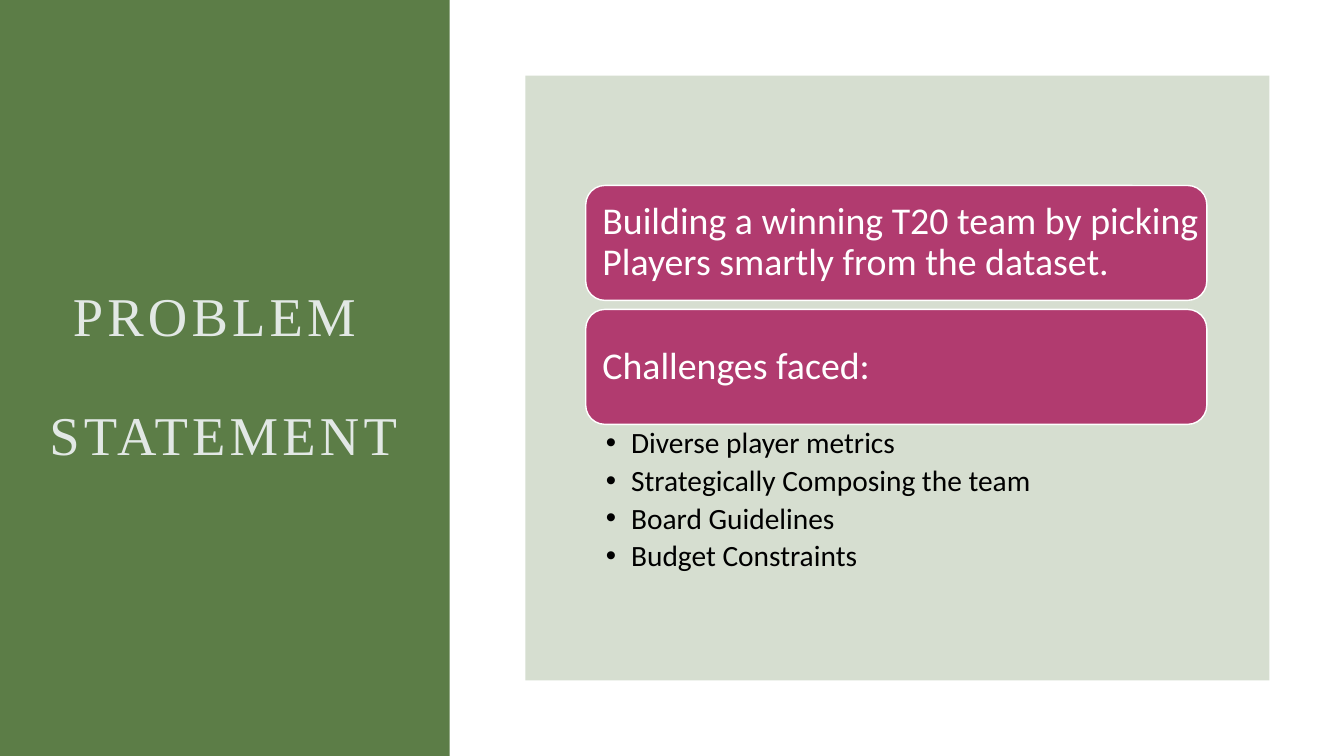
from lxml import etree
from pptx import Presentation
from pptx.dml.color import RGBColor
from pptx.enum.shapes import MSO_SHAPE
from pptx.enum.text import MSO_ANCHOR, PP_ALIGN
from pptx.oxml.ns import qn
from pptx.util import Inches, Pt

RECTANGLE, ROUNDED = MSO_SHAPE.RECTANGLE, MSO_SHAPE.ROUNDED_RECTANGLE
TOP, MIDDLE = MSO_ANCHOR.TOP, MSO_ANCHOR.MIDDLE
LEFT, CENTER = PP_ALIGN.LEFT, PP_ALIGN.CENTER

GREEN = RGBColor(0x5C, 0x7D, 0x47)
MIST = RGBColor(0xE2, 0xE8, 0xE5)
MAGENTA = RGBColor(0xB1, 0x3B, 0x6F)
WHITE = RGBColor(0xFF, 0xFF, 0xFF)
BLACK = RGBColor(0, 0, 0)

STATEMENTS = [
    "Building a winning T20 team by picking Players smartly from the dataset.",
    "Challenges faced:",
]
CHALLENGES = [
    "Diverse player metrics",
    "Strategically Composing the team",
    "Board Guidelines",
    "Budget Constraints",
]


def add_block(slide, kind, box, fill, line=None, opacity=None):
    block = slide.shapes.add_shape(kind, *map(Inches, box))
    block.shadow.inherit = False
    block.fill.solid()
    block.fill.fore_color.rgb = fill
    if opacity is not None:
        color = block.fill._xPr.find(qn("a:solidFill"))[0]
        etree.SubElement(color, qn("a:alpha"), val=str(opacity * 1000))
    if line is None:
        block.line.fill.background()
    else:
        block.line.color.rgb = line
        block.line.width = Pt(1)
    return block


def write_text(shape, lines, *, size, color, font="Calibri", align=LEFT, anchor=MIDDLE,
               insets=(0.1, 0.05, 0.1, 0.05), gap=0, tracking=None, bullet=None):
    """Fill a shape with one paragraph per line; gap is the points between them."""
    frame = shape.text_frame
    frame.word_wrap = True
    frame.vertical_anchor = anchor
    (frame.margin_left, frame.margin_top,
     frame.margin_right, frame.margin_bottom) = map(Inches, insets)
    for index, line in enumerate(lines):
        paragraph = frame.add_paragraph() if index else frame.paragraphs[0]
        paragraph.alignment = align
        paragraph.line_spacing = 0.9
        paragraph.space_before = Pt(gap if index else 0)
        run = paragraph.add_run()
        run.text = line
        run.font.name = font
        run.font.size = Pt(size)
        run.font.color.rgb = color
        if tracking:
            run.font._element.set("spc", str(tracking * 100))
        if bullet:
            properties = paragraph._p.get_or_add_pPr()
            properties.set("marL", str(Inches(0.25)))
            properties.set("indent", str(-Inches(0.25)))
            etree.SubElement(properties, qn("a:buFont"), typeface="Arial")
            etree.SubElement(properties, qn("a:buChar"), char=bullet)


def add_title_band(slide, left, top, width, height):
    add_block(slide, RECTANGLE, (left, top, width, height), GREEN)
    title_box = (left + 0.36, top + 1.5, 3.71, height - 3)
    title = slide.shapes.add_textbox(*map(Inches, title_box))
    write_text(title, ["PROBLEM ", "STATEMENT"], size=39, color=MIST,
               font="Times New Roman", align=CENTER, gap=43, tracking=3)


def add_content_panel(slide, left, top, width, height):
    add_block(slide, RECTANGLE, (left, top, width, height), GREEN, opacity=25)

    # Statement cards, stacked at an equal pitch
    card_left, card_top = left + 0.6, top + 1.09
    card_width, card_height, pitch = 6.16, 1.14, 1.23
    for index, statement in enumerate(STATEMENTS):
        box = (card_left, card_top + index * pitch, card_width, card_height)
        card = add_block(slide, ROUNDED, box, MAGENTA, line=WHITE)
        write_text(card, [statement], size=27, color=WHITE,
                   insets=(0.11, 0.11, 0, 0.11))

    # Challenges, directly under the last card
    list_top = card_top + (len(STATEMENTS) - 1) * pitch + card_height
    list_box = (card_left, list_top, card_width, 1.5)
    challenges = slide.shapes.add_textbox(*map(Inches, list_box))
    write_text(challenges, CHALLENGES, size=21, color=BLACK, anchor=TOP,
               insets=(0.2, 0.04, 0.21, 0.04), gap=4.2, bullet="•")


def main():
    deck = Presentation()
    deck.slide_width, deck.slide_height = Inches(13.33), Inches(7.5)
    slide = deck.slides.add_slide(deck.slide_layouts[6])
    add_title_band(slide, 0, 0, 4.46, 7.5)
    add_content_panel(slide, 5.21, 0.75, 7.38, 6)
    deck.save("out.pptx")


if __name__ == "__main__":
    main()
